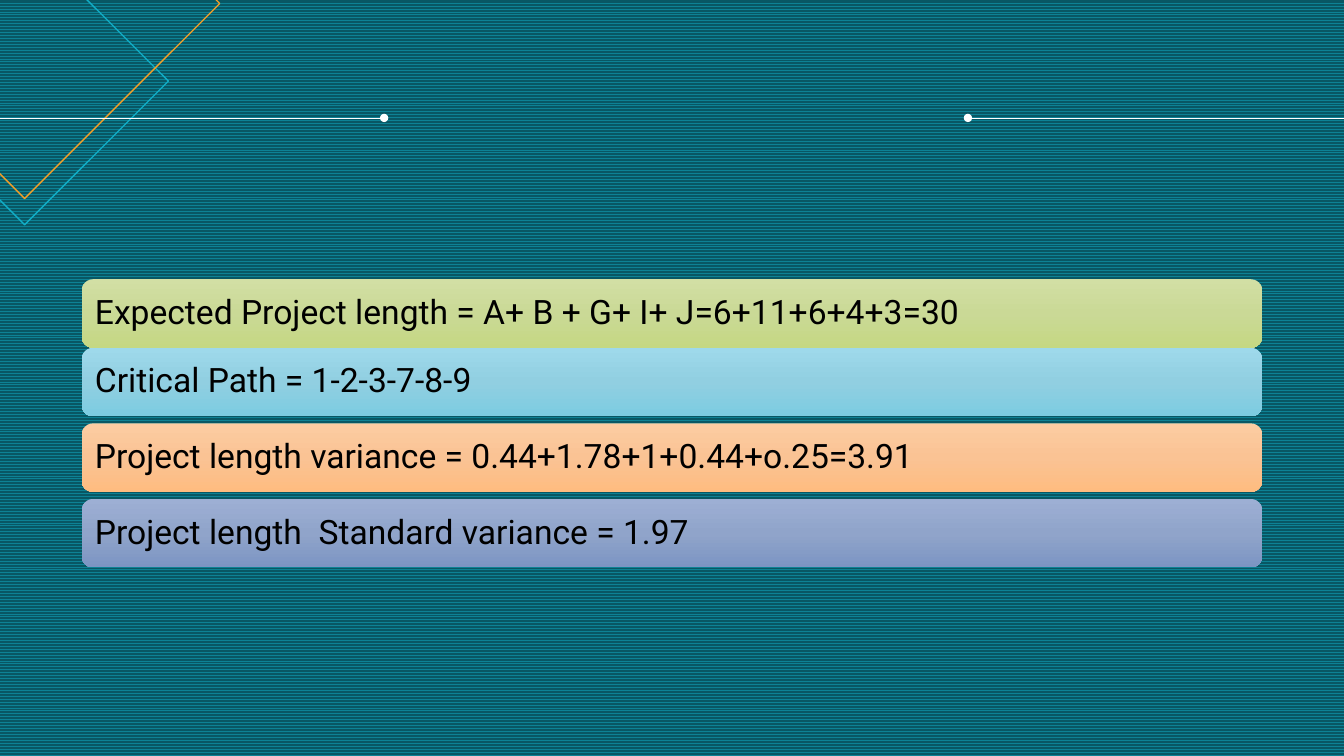
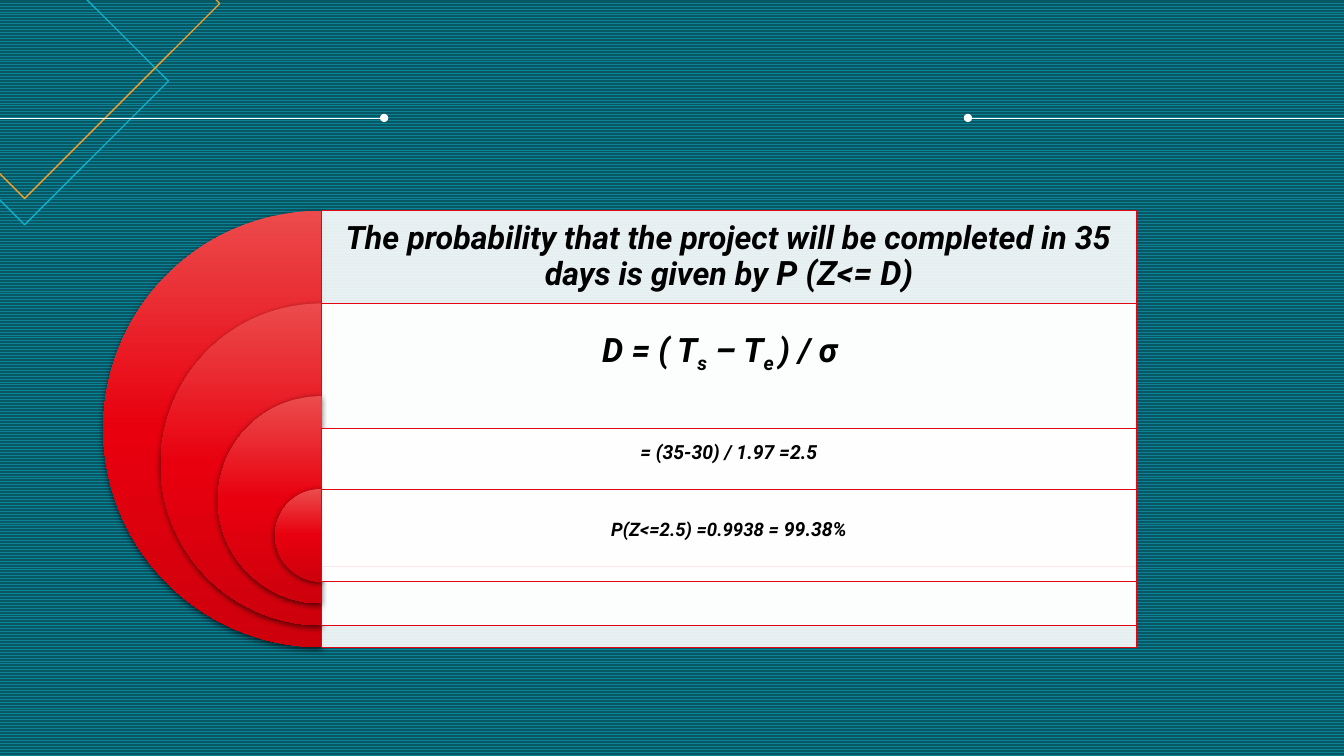
"""Build two slides on project length and completion probability."""
from dataclasses import dataclass

from lxml import etree
from pptx import Presentation
from pptx import util as u
from pptx.dml.color import RGBColor
from pptx.enum import dml, shapes, text
from pptx.oxml.ns import qn


@dataclass(frozen=True)
class Theme:
    """Colours and type sizes of the deck."""
    font: str = "Roboto"
    body: float = 24
    small: float = 23
    ink: str = "000000"
    white: str = "FFFFFF"
    bg_fore: str = "0D8295"
    bg_back: str = "085764"
    teal: str = "11AEC7"
    orange: str = "F59F26"
    red: str = "E20613"
    ring: tuple = ("EB4B4C", "E8000E", "CE000C")
    green_band: tuple = ("D2DFA4", "CAD996", "C5D883")
    blue_band: tuple = ("9ED9EB", "91CFE1", "7CCCE1")
    orange_band: tuple = ("FCCCA2", "FAC394", "FEBC80")
    violet_band: tuple = ("9DAFD4", "90A4CA", "7C95C3")


T = Theme()
WIDTH, HEIGHT = 13.33, 7.5
RULE_Y = 1.17
SHAPE = shapes.MSO_SHAPE


@dataclass(frozen=True)
class Run:
    """A piece of text with its size and baseline shift in percent."""
    text: str
    size: float = T.body
    base: int = 0


@dataclass(frozen=True)
class Band:
    """A gradient bar with one line of text."""
    top: float
    colors: tuple
    text: str


@dataclass(frozen=True)
class Row:
    """A white panel whose text sits in its upper part."""
    top: float
    height: float
    text_height: float
    runs: tuple
    right_pad: float = 0


BANDS = (
    Band(2.77, T.green_band, "Expected Project length = A+ B + G+ I+ J=6+11+6+4+3=30"),
    Band(3.45, T.blue_band, "Critical Path = 1-2-3-7-8-9"),
    Band(4.2, T.orange_band, "Project length variance = 0.44+1.78+1+0.44+o.25=3.91"),
    Band(4.95, T.violet_band, "Project length  Standard variance = 1.97"),
)

ROWS = (
    Row(2.09, 4.33, 0.92, (
        Run("The probability that the project will be completed in 35 days is given by ", T.small),
        Run("P (Z<= D)"))),
    Row(3.01, 3.19, 0.92, (
        Run("D = ( T"), Run("s", base=-25), Run(" – T"), Run("e ", base=-25), Run(") / σ")),
        right_pad=0.18),
    Row(4.25, 1.37, 0.61, (Run("= (35-30) / 1.97 =2.5", base=30),)),
    Row(4.85, 0.92, 0.92, (
        Run("P(Z<=2.5) =0.9938 = ", T.small, 30), Run("99.38%", base=30))),
)


def rgb(color: str) -> RGBColor:
    """Turn a hex string into a colour."""
    return RGBColor.from_string(color)


def add_shape(s, kind, left: float, top: float, width: float, height: float,
              line: str | None = None, weight: float = 1):
    """Add an unfilled preset shape without a shadow."""
    sp = s.shapes.add_shape(kind, *map(u.Inches, (left, top, width, height)))
    sp.shadow.inherit = False
    sp.fill.background()
    if line:
        sp.line.color.rgb = rgb(line)
        sp.line.width = u.Pt(weight)
    else:
        sp.line.fill.background()
    return sp


def fill_gradient(sp, colors: tuple) -> None:
    """Fill a shape from top to bottom with evenly spaced colours."""
    sp.fill.gradient()
    sp.fill.gradient_angle = 270
    stops = sp._element.spPr.find(".//" + qn("a:gsLst"))
    stops.clear()
    for i, color in enumerate(colors):
        gs = etree.SubElement(stops, qn("a:gs"), pos=str(i * 100000 // (len(colors) - 1)))
        etree.SubElement(gs, qn("a:srgbClr"), val=color)


def add_alpha(clr, percent: int) -> None:
    """Make a colour element partly transparent."""
    etree.SubElement(clr, qn("a:alpha"), val=str(percent * 1000))


def add_shadow(sp) -> None:
    """Give a shape a soft shadow below."""
    effects = sp._element.spPr.find(qn("a:effectLst"))
    shadow = etree.SubElement(effects, qn("a:outerShdw"), blurRad=str(u.Pt(4.5)),
                              dist=str(u.Pt(1.5)), dir="5400000", algn="ctr", rotWithShape="0")
    add_alpha(etree.SubElement(shadow, qn("a:srgbClr"), val=T.ink), 63)


def write(sp, runs: tuple, *, align=text.PP_ALIGN.LEFT, bold: bool = False,
          italic: bool = False, right: float = 0.1, bottom: float = 0.1) -> None:
    """Write one paragraph of runs into a shape."""
    tf = sp.text_frame
    tf.word_wrap = True
    tf.vertical_anchor = text.MSO_ANCHOR.MIDDLE
    tf.margin_left = tf.margin_top = u.Inches(0.1)
    tf.margin_right, tf.margin_bottom = u.Inches(right), u.Inches(bottom)
    p = tf.paragraphs[0]
    p.alignment = align
    p.line_spacing = 0.9
    for run in runs:
        r = p.add_run()
        r.text = run.text
        r.font.name, r.font.size = T.font, u.Pt(run.size)
        r.font.bold, r.font.italic = bold, italic
        r.font.color.rgb = rgb(T.ink)
        if run.base:
            r._r.get_or_add_rPr().set("baseline", str(run.base * 1000))


def add_rule(s, dot_x: float, edge_x: float) -> None:
    """Draw a thin rule from a dot to a slide edge."""
    y = u.Inches(RULE_Y)
    cn = s.shapes.add_connector(shapes.MSO_CONNECTOR.STRAIGHT,
                                u.Inches(dot_x), y, u.Inches(edge_x), y)
    cn.line.color.rgb = rgb(T.white)
    cn.line.width = u.Pt(0.5)
    spPr = cn._element.spPr
    etree.SubElement(spPr.find(qn("a:ln")), qn("a:headEnd"), type="oval")
    etree.SubElement(spPr, qn("a:effectLst"))


def add_slide(prs):
    """Add a blank slide with the corner diamonds and the rules."""
    s = prs.slides.add_slide(prs.slide_layouts[6])
    for left, top, size, color in ((-1.18, -0.62, 2.85, T.teal), (-1.69, -1.9, 3.87, T.orange)):
        add_shape(s, SHAPE.DIAMOND, left, top, size, size, color)
    add_rule(s, 9.6, WIDTH)
    add_rule(s, 3.81, 0)
    return s


def build_length(prs) -> None:
    """Build the slide of project length results."""
    s = add_slide(prs)
    for band in BANDS:
        sp = add_shape(s, SHAPE.ROUNDED_RECTANGLE, 0.81, band.top, 11.71, 0.68)
        fill_gradient(sp, band.colors)
        write(sp, (Run(band.text),))


def build_probability(prs) -> None:
    """Build the slide of nested half rings and calculation rows."""
    s = add_slide(prs)
    axis, top, outer, inner = 3.19, 2.09, 4.33, 0.92
    step = (outer - inner) / (len(ROWS) - 1)
    for i, row in enumerate(ROWS):
        size = outer - i * step
        ring = add_shape(s, SHAPE.PIE, axis - size / 2, top + i * inner, size, size)
        ring.adjustments[0], ring.adjustments[1] = 54, 162
        fill_gradient(ring, T.ring)
        add_shadow(ring)
        panel = add_shape(s, SHAPE.RECTANGLE, axis, row.top, 8.08, row.height, T.red, 0.5)
        panel.fill.solid()
        panel.fill.fore_color.rgb = rgb(T.white)
        add_alpha(panel._element.spPr.find(qn("a:solidFill"))[0], 90)
        write(panel, row.runs, align=text.PP_ALIGN.CENTER, bold=True, italic=True,
              right=0.1 + row.right_pad, bottom=0.1 + row.height - row.text_height)


def main() -> None:
    """Build and save the deck."""
    prs = Presentation()
    prs.slide_width, prs.slide_height = u.Inches(WIDTH), u.Inches(HEIGHT)
    fill = prs.slide_master.background.fill
    fill.patterned()
    fill.pattern = dml.MSO_PATTERN.ZIG_ZAG
    fill.fore_color.rgb, fill.back_color.rgb = rgb(T.bg_fore), rgb(T.bg_back)
    build_length(prs)
    build_probability(prs)
    prs.save("out.pptx")


if __name__ == "__main__":
    main()
